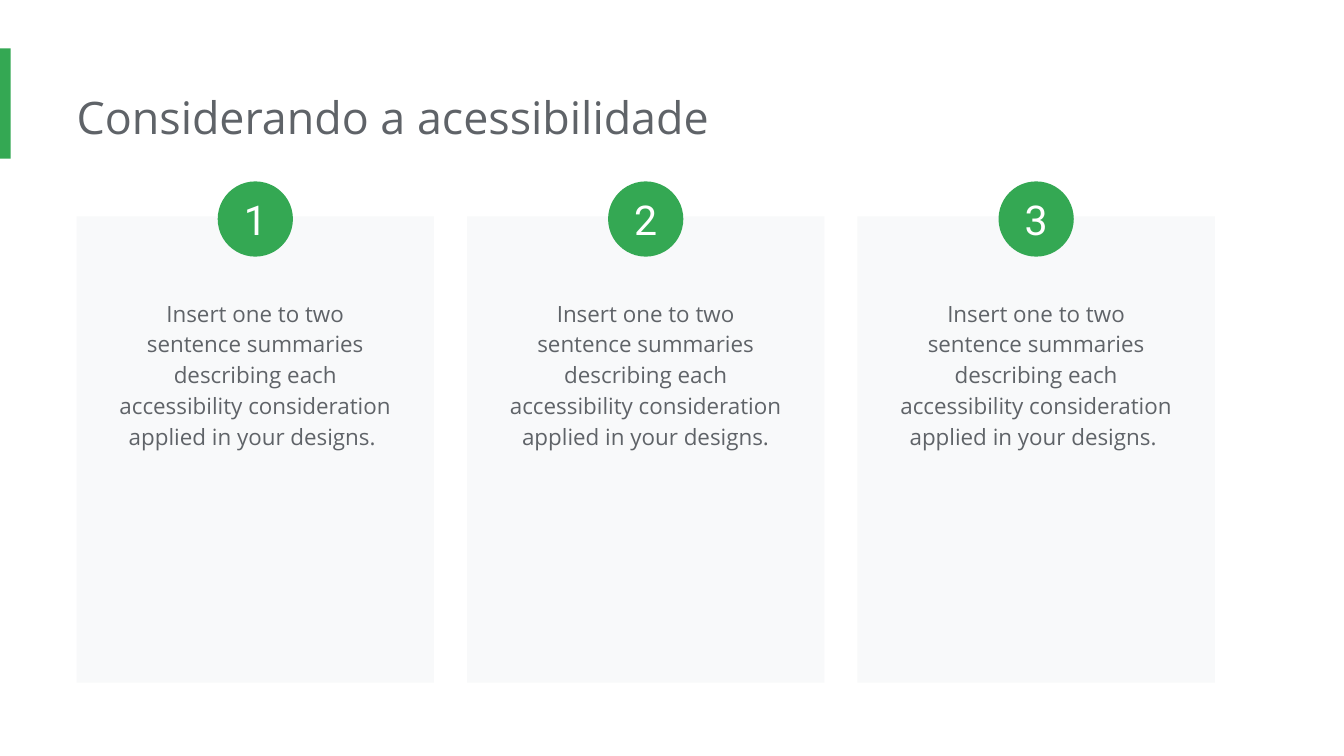
from dataclasses import dataclass

from pptx import Presentation
from pptx.dml.color import RGBColor
from pptx.enum.shapes import MSO_SHAPE
from pptx.enum.text import MSO_ANCHOR, MSO_AUTO_SIZE, PP_ALIGN
from pptx.shapes.autoshape import Shape
from pptx.slide import Slide
from pptx.text.text import TextFrame
from pptx.util import Inches, Pt

RECT, OVAL = MSO_SHAPE.RECTANGLE, MSO_SHAPE.OVAL
TOP, MIDDLE = MSO_ANCHOR.TOP, MSO_ANCHOR.MIDDLE
LEFT, CENTER = PP_ALIGN.LEFT, PP_ALIGN.CENTER
NO_AUTOFIT = MSO_AUTO_SIZE.NONE
TITLE_ONLY = 5


@dataclass(frozen=True)
class TextStyle:
    font: str
    size: int
    color: str
    align: PP_ALIGN
    spacing: float = 1.0


@dataclass(frozen=True)
class Theme:
    accent: str = "34A853"
    panel: str = "F8F9FA"
    title: TextStyle = TextStyle("Open Sans", 24, "5F6368", LEFT)
    body: TextStyle = TextStyle("Open Sans", 12, "5F6368", CENTER, 1.15)
    badge: TextStyle = TextStyle("Roboto", 22, "FFFFFF", CENTER)


@dataclass(frozen=True)
class Box:
    left: float
    top: float
    width: float
    height: float

    def emu(self) -> list[int]:
        return [Inches(v) for v in (self.left, self.top, self.width, self.height)]


@dataclass(frozen=True)
class Card:
    number: str
    summary: str


THEME = Theme()
SLIDE_WIDTH = 10
SLIDE_HEIGHT = SLIDE_WIDTH * 9 / 16
SUMMARY = (
    "Insert one to two sentence summaries describing each "
    "accessibility consideration applied in your designs."
)
CARDS = [Card("1", SUMMARY + " "), Card("2", SUMMARY), Card("3", SUMMARY + " ")]
ROW = Box(0.57, 1.61, 8.47, 3.47)
CARD_WIDTH = 2.66
TEXT_WIDTH = 2.24
BADGE_SIZE = 0.56
PITCH = (ROW.width - CARD_WIDTH) / (len(CARDS) - 1)


def set_frame(tf: TextFrame, insets: list[float], anchor: MSO_ANCHOR) -> None:
    tf.word_wrap = True
    tf.auto_size = NO_AUTOFIT
    tf.vertical_anchor = anchor
    tf.margin_left, tf.margin_top, tf.margin_right, tf.margin_bottom = [
        Inches(v) for v in insets
    ]


def add_text(tf: TextFrame, text: str, style: TextStyle) -> None:
    p = tf.paragraphs[0]
    p.alignment = style.align
    p.line_spacing = style.spacing
    r = p.add_run()
    r.text = text
    r.font.name = style.font
    r.font.size = Pt(style.size)
    r.font.color.rgb = RGBColor.from_string(style.color)


def add_filled(s: Slide, kind: MSO_SHAPE, box: Box, color: str) -> Shape:
    sp = s.shapes.add_shape(kind, *box.emu())
    sp.shadow.inherit = False
    sp.fill.solid()
    sp.fill.fore_color.rgb = RGBColor.from_string(color)
    sp.line.fill.background()
    return sp


def add_title(s: Slide, text: str, box: Box) -> None:
    sp = s.shapes.title
    sp.left, sp.top, sp.width, sp.height = box.emu()
    set_frame(sp.text_frame, [0, 0.1, 0.1, 0.1], TOP)
    add_text(sp.text_frame, text, THEME.title)


def add_card(s: Slide, card: Card, left: float) -> None:
    center = left + CARD_WIDTH / 2
    add_filled(s, RECT, Box(left, ROW.top, CARD_WIDTH, ROW.height), THEME.panel)

    text_box = Box(center - TEXT_WIDTH / 2, 2.1, TEXT_WIDTH, 1.33)
    tf = s.shapes.add_textbox(*text_box.emu()).text_frame
    set_frame(tf, [0.1] * 4, TOP)
    add_text(tf, card.summary, THEME.body)

    badge_box = Box(center - BADGE_SIZE / 2, 1.35, BADGE_SIZE, BADGE_SIZE)
    badge = add_filled(s, OVAL, badge_box, THEME.accent)
    set_frame(badge.text_frame, [0] * 4, MIDDLE)
    add_text(badge.text_frame, card.number, THEME.badge)


def main() -> None:
    prs = Presentation()
    prs.slide_width, prs.slide_height = Inches(SLIDE_WIDTH), Inches(SLIDE_HEIGHT)
    s = prs.slides.add_slide(prs.slide_layouts[TITLE_ONLY])
    add_filled(s, RECT, Box(0, 0.36, 0.08, 0.82), THEME.accent)
    add_title(s, "Considerando a acessibilidade", Box(0.57, 0.57, 7.66, 0.61))
    for i, card in enumerate(CARDS):
        add_card(s, card, ROW.left + i * PITCH)
    prs.save("out.pptx")


if __name__ == "__main__":
    main()
